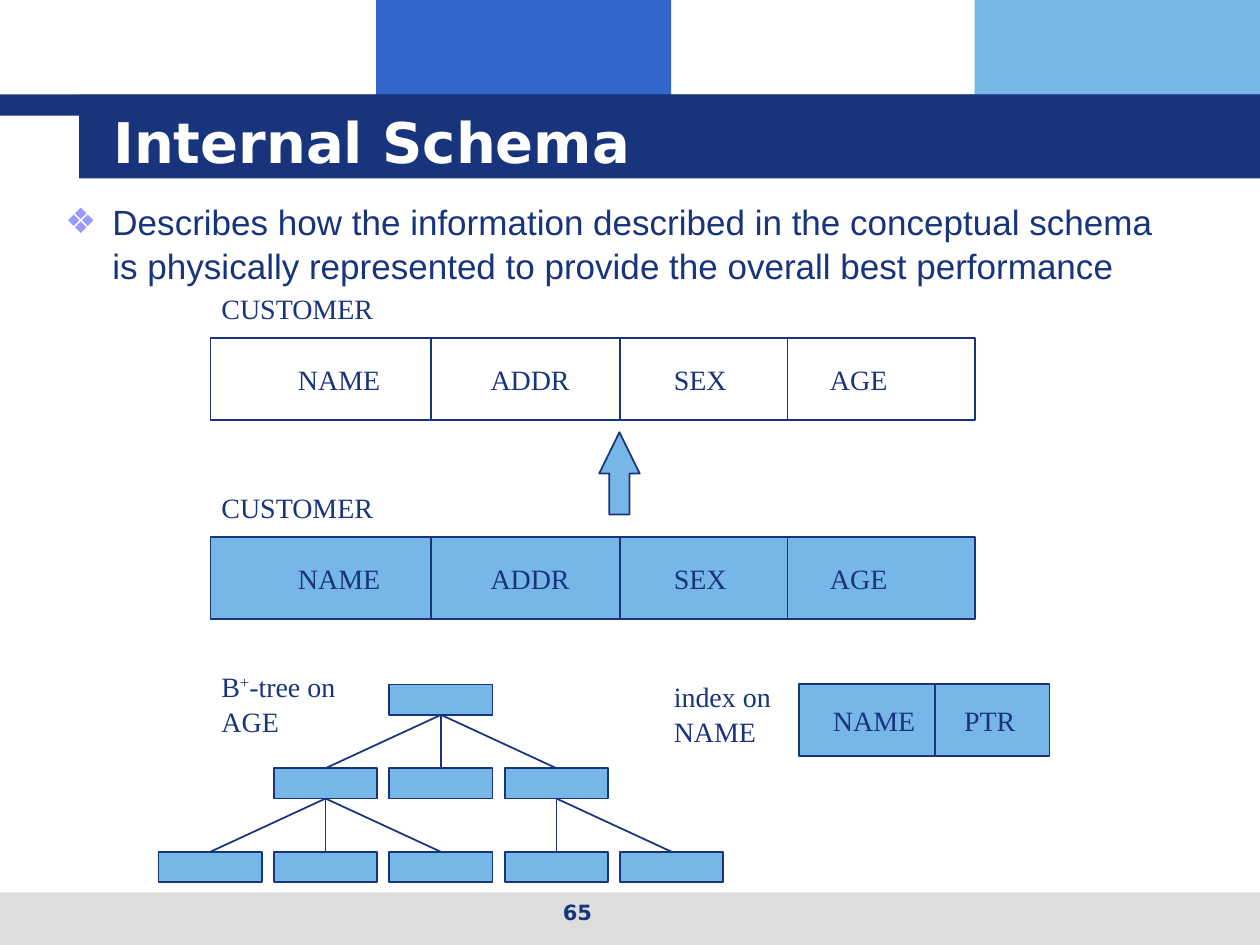
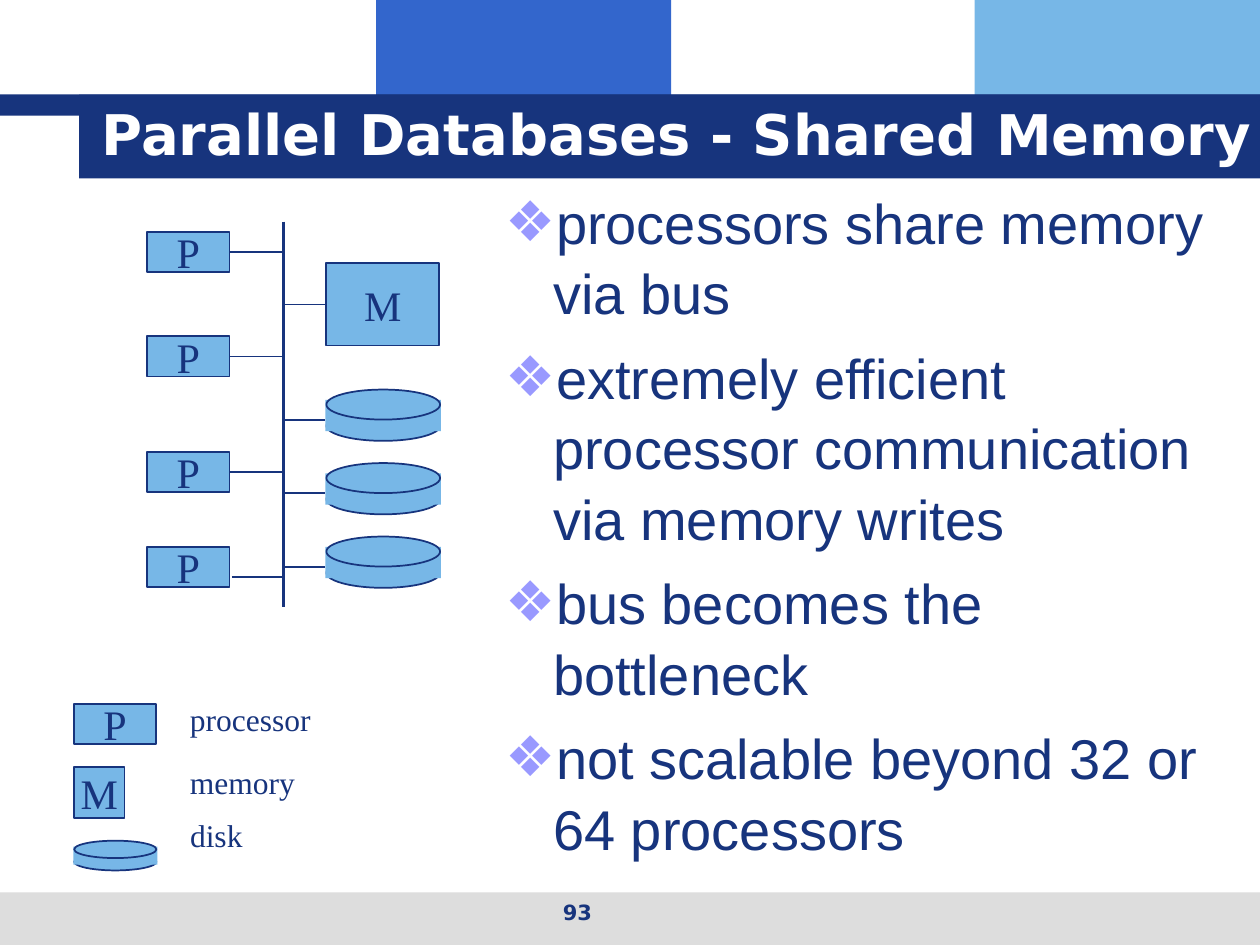
from lxml import etree
from pptx import Presentation
from pptx.dml.color import RGBColor
from pptx.enum import shapes as sh, text as tx
from pptx.oxml import ns
from pptx.util import Pt

COL = {"navy": "17347D", "blue": "3366CC", "sky": "77B7E7", "grey": "DDDDDD",
       "white": "FFFFFF", "lilac": "9999FF"}
SANS, BODY, SERIF = "DejaVu Sans", "Arial", "Times New Roman"
KIND = sh.MSO_SHAPE

# left, top, width, height, colour
BANDS = [
    (215, 0, 168.5, 66, "blue"),
    (557, 0, 163, 66, "sky"),
    (0, 510, 720, 30, "grey"),
    (0, 54, 720, 12.2, "navy"),
    (45.2, 54, 674.8, 48, "navy"),
]
PAGE = (246, 510, 168, 25)

SCHEMA = {
    "title": "Internal Schema", "spot": (57.6, 57.6, 614, 44.6), "page": "65",
    "body": (30.2, 110, 648, 108), "size": 20, "gap": 5,
    "points": ["Describes how the information described in the conceptual schema "
               "is physically represented to provide the overall best performance"],
}
FIELDS = ["NAME", "ADDR", "SEX", "AGE"]
STARTS = [170.3, 280.3, 385.1, 474.3]
CUTS = [246.2, 354.2, 450]
# label top, record top, fill
RECORDS = [(162, 193, "white"), (275.8, 306.9, "sky")]
ARROW = (342.4, 247, 23.2, 47)
TREE = {"left": 90.6, "top": 391.2, "col": 65.95, "row": 47.8, "w": 59, "h": 17.3}
# slots taken on each level, and edges as (level, slot) to slot below
LEVELS = [[2], [1, 2, 3], [0, 1, 2, 3, 4]]
EDGES = {(0, 2): [1, 2, 3], (1, 1): [0, 1, 2], (1, 3): [3, 4]}

SHARED = {
    "title": "Parallel Databases - Shared Memory", "spot": (51, 42, 684, 66), "page": "93",
    "body": (282, 102, 414, 414), "size": 32, "gap": 8,
    "points": ["processors share memory via bus",
               "extremely efficient processor communication via memory writes",
               "bus becomes the bottleneck",
               "not scalable beyond 32 or 64 processors"],
}
BUS = (162, 126.7, 347)
# processor top, height of its line to the bus
CPUS = [(132.5, 144), (192.2, 203.8), (258.2, 270), (312.5, 329.8)]
MEMORY = (186.5, 150.5, 64.4, 47)
DISKS = [222.6, 264.6, 306.6]
LEGEND = [("processor", 395.3, 96.5), ("memory", 431.3, 90.7), ("disk", 461.5, 72.7)]


def rgb(name):
    return RGBColor.from_string(COL[name])


def child(node, tag, **attrs):
    part = etree.SubElement(node, ns.qn("a:" + tag))
    for key, val in attrs.items():
        part.set(key, str(val))
    return part


def style(para, size, font, color="navy", bold=False):
    for run in para.runs:
        run.font.size, run.font.name, run.font.bold = Pt(size), font, bold
        run.font.color.rgb = rgb(color)


def block(slide, box, fill="sky", edge=True, kind=KIND.RECTANGLE):
    part = slide.shapes.add_shape(kind, *map(Pt, box))
    part.shadow.inherit = False
    part.fill.solid()
    part.fill.fore_color.rgb = rgb(fill)
    if edge:
        part.line.color.rgb = rgb("navy")
        part.line.width = Pt(1)
    else:
        part.line.fill.background()
    return part


def link(slide, x1, y1, x2, y2, width=1):
    line = slide.shapes.add_connector(sh.MSO_CONNECTOR.STRAIGHT, *map(Pt, (x1, y1, x2, y2)))
    line.line.color.rgb = rgb("navy")
    line.line.width = Pt(width)
    child(line._element.spPr, "effectLst")
    return line


def label(slide, box, words, size, font=SERIF, color="navy", bold=False,
          align=tx.PP_ALIGN.LEFT, anchor=tx.MSO_ANCHOR.TOP):
    frame = slide.shapes.add_textbox(*map(Pt, box)).text_frame
    frame.word_wrap = True
    frame.vertical_anchor = anchor
    para = frame.paragraphs[0]
    para.text = words
    para.alignment = align
    para.line_spacing = 1.05
    style(para, size, font, color, bold)
    return para


def letter(slide, box, char):
    part = block(slide, box)
    frame = part.text_frame
    frame.word_wrap = False
    frame.text = char
    frame.vertical_anchor = tx.MSO_ANCHOR.MIDDLE
    frame.paragraphs[0].alignment = tx.PP_ALIGN.CENTER
    style(frame.paragraphs[0], 24, SERIF)
    return part


def record(slide, box, fill, names, starts, cuts):
    """A box of fields: names at tab stops, cut by upright lines."""
    left, top, _, high = box
    frame = block(slide, box, fill).text_frame
    frame.word_wrap = True
    frame.margin_left, frame.margin_right = Pt(starts[0] - left), 0
    frame.vertical_anchor = tx.MSO_ANCHOR.MIDDLE
    para = frame.paragraphs[0]
    para.text = "\t".join(names)
    para.alignment = tx.PP_ALIGN.LEFT
    tabs = child(para._p.get_or_add_pPr(), "tabLst")
    for x in starts[1:]:
        child(tabs, "tab", pos=Pt(x - starts[0]), algn="l")
    style(para, 16, SERIF)
    for x in cuts:
        link(slide, x, top, x, top + high)


def disk(slide, x, y, w, h):
    oval = 0.585 * h
    block(slide, (x, y + h - oval, w, oval), kind=KIND.OVAL)
    block(slide, (x - 0.5, y + 0.2 * h, w + 1, 0.61 * h), edge=False)
    block(slide, (x, y, w, oval), kind=KIND.OVAL)


def bullets(slide, data):
    frame = slide.shapes.add_textbox(*map(Pt, data["body"])).text_frame
    frame.word_wrap = True
    for i, words in enumerate(data["points"]):
        para = frame.add_paragraph() if i else frame.paragraphs[0]
        para.text = words
        props = para._p.get_or_add_pPr()
        props.set("marL", str(Pt(27)))
        props.set("indent", str(Pt(-27)))
        child(child(props, "buClr"), "srgbClr", val=COL["lilac"])
        child(props, "buFont", typeface=BODY)
        child(props, "buChar", char="❖")
        para.line_spacing = 1.05
        para.space_before = Pt(data["gap"] if i else 0)
        style(para, data["size"], BODY)


def base(deck, data):
    """A slide with bands, title, bullets and page number."""
    slide = deck.slides.add_slide(deck.slide_layouts[6])
    for *box, fill in BANDS:
        block(slide, box, fill, edge=False)
    label(slide, data["spot"], data["title"], 32, SANS, "white", True,
          anchor=tx.MSO_ANCHOR.MIDDLE)
    bullets(slide, data)
    label(slide, PAGE, data["page"], 12, SANS, bold=True, align=tx.PP_ALIGN.CENTER)
    return slide


def tree(slide):
    nodes = {}
    for row, slots in enumerate(LEVELS):
        for col in slots:
            box = (TREE["left"] + col * TREE["col"], TREE["top"] + row * TREE["row"],
                   TREE["w"], TREE["h"])
            nodes[row, col] = block(slide, box)
    for (row, col), kids in EDGES.items():
        for kid in kids:
            line = link(slide, 0, 0, 0, 0)
            line.begin_connect(nodes[row, col], 2)
            line.end_connect(nodes[row + 1, kid], 0)


def schema(deck):
    slide = base(deck, SCHEMA)
    for head, top, fill in RECORDS:
        label(slide, (119.5, head, 126.7, 26), "CUSTOMER", 16)
        record(slide, (120.3, top, 437, 47), fill, FIELDS, STARTS, CUTS)
    arrow = block(slide, ARROW, kind=KIND.UP_ARROW)
    arrow.adjustments[0], arrow.adjustments[1] = 0.5, 1.02
    tree(slide)
    para = label(slide, (119.5, 378, 90.7, 45.4), "B", 16)
    for words in ("+", "-tree on AGE"):
        para.add_run().text = words
    style(para, 16, SERIF)
    para.runs[1]._r.get_or_add_rPr().set("baseline", "30000")
    record(slide, (456.5, 391, 143.3, 41), "sky", ["NAME", "PTR"], [476, 550.9], [534.2])
    label(slide, (378, 383.8, 90.7, 45.4), "index on NAME", 16)


def shared(deck):
    slide = base(deck, SHARED)
    bus, top, end = BUS
    link(slide, bus, top, bus, end, 2)
    for y, mid in CPUS:
        cpu = letter(slide, (84.2, y, 47, 23), "P")
        line = link(slide, 132.5, mid, bus, mid)
        if abs(y + 11.5 - mid) < 1:
            line.begin_connect(cpu, 3)
            line.end_y = line.begin_y
    store = letter(slide, MEMORY, "M")
    line = link(slide, bus, 174, 186.5, 174)
    line.end_connect(store, 1)
    for y in DISKS:
        disk(slide, 186.5, y, 65, 29.3)
        link(slide, bus, y + 17.3, 186, y + 17.3)
    letter(slide, (42.2, 402.3, 47, 23), "P")
    letter(slide, (42.2, 438.3, 29, 29), "M")
    disk(slide, 42.4, 480.4, 47, 17)
    for words, y, wide in LEGEND:
        label(slide, (101.5, y, wide, 29), words, 18)


def main():
    deck = Presentation()
    deck.slide_width, deck.slide_height = Pt(720), Pt(540)
    schema(deck)
    shared(deck)
    deck.save("out.pptx")


if __name__ == "__main__":
    main()
